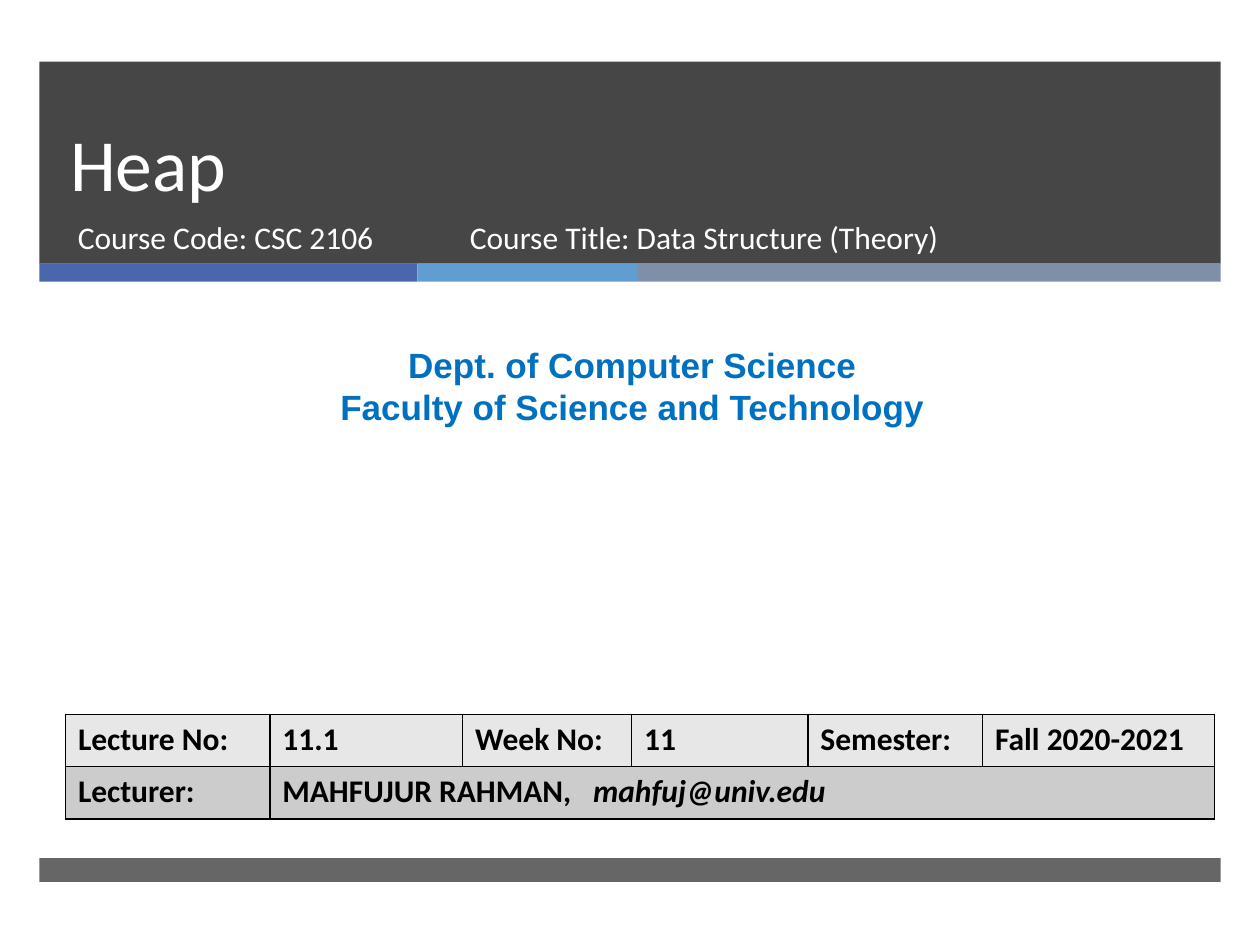
from dataclasses import dataclass

from lxml import etree
from pptx import Presentation
from pptx.dml.color import RGBColor
from pptx.enum.shapes import MSO_SHAPE
from pptx.enum.text import MSO_ANCHOR, PP_ALIGN
from pptx.oxml.ns import qn
from pptx.util import Pt

RECT = MSO_SHAPE.RECTANGLE
TOP, BOTTOM = MSO_ANCHOR.TOP, MSO_ANCHOR.BOTTOM
LEFT, CENTER = PP_ALIGN.LEFT, PP_ALIGN.CENTER


@dataclass(frozen=True)
class Theme:
    dark: str = "262626"
    stripes: tuple = ("4A66AC", "629DD1", "7F8FA9")
    rows: tuple = ("E7E7E7", "CCCCCC")
    white: str = "FFFFFF"
    black: str = "000000"
    blue: str = "0070C0"
    body: str = "Calibri"
    dept: str = "Arial"
    title: int = 42
    mid: int = 20
    small: int = 18


class Deck:
    def __init__(self, theme, slide):
        self.theme = theme
        self.slide = slide

    def style(self, para, size, color, font=None, bold=False):
        for run in para.runs:
            run.font.name = font or self.theme.body
            run.font.size = Pt(size)
            run.font.bold = bold
            run.font.color.rgb = RGBColor.from_string(color)

    def bar(self, x, y, w, h, color, alpha=100):
        shape = self.slide.shapes.add_shape(RECT, Pt(x), Pt(y), Pt(w), Pt(h))
        shape.shadow.inherit = False
        shape.line.fill.background()
        shape.fill.solid()
        shape.fill.fore_color.rgb = RGBColor.from_string(color)
        if alpha < 100:
            tone = shape.fill._xPr.find(qn("a:solidFill"))[0]
            etree.SubElement(tone, qn("a:alpha"), val=str(alpha * 1000))

    def text(self, x, y, w, h, words, size, color, font=None, bold=False,
             align=LEFT, anchor=TOP, space=None):
        box = self.slide.shapes.add_textbox(Pt(x), Pt(y), Pt(w), Pt(h))
        frame = box.text_frame
        frame.word_wrap = True
        frame.vertical_anchor = anchor
        frame.text = words
        for para in frame.paragraphs:
            para.alignment = align
            if space:
                para.line_spacing = Pt(space)
            self.style(para, size, color, font, bold)

    def edge(self, cell):
        props = cell._tc.get_or_add_tcPr()
        for side in ("lnL", "lnR", "lnT", "lnB"):
            line = etree.SubElement(props, qn("a:" + side), w=str(Pt(1)))
            fill = etree.SubElement(line, qn("a:solidFill"))
            etree.SubElement(fill, qn("a:srgbClr"), val=self.theme.black)

    def table(self, x, y, cols, high, rows):
        frame = self.slide.shapes.add_table(
            len(rows), len(cols), Pt(x), Pt(y), Pt(sum(cols)), Pt(high * len(rows)))
        grid = frame.table
        for col, wide in zip(grid.columns, cols):
            col.width = Pt(wide)
        for r, (words, color) in enumerate(zip(rows, self.theme.rows)):
            grid.rows[r].height = Pt(high)
            for c in range(len(cols)):
                cell = grid.cell(r, c)
                self.edge(cell)
                cell.fill.solid()
                cell.fill.fore_color.rgb = RGBColor.from_string(color)
                if c < len(words):
                    para = cell.text_frame.paragraphs[0]
                    para.text = words[c]
                    self.style(para, self.theme.small, self.theme.black, bold=True)
        return grid

    def mail(self, cell, words, stop):
        # A tab stop sets the gap before the address
        para = cell.text_frame.paragraphs[0]
        para.add_run().text = "\t" + words
        self.style(para, self.theme.small, self.theme.black, bold=True)
        para.runs[-1].font.italic = True
        tabs = etree.SubElement(para._p.get_or_add_pPr(), qn("a:tabLst"))
        etree.SubElement(tabs, qn("a:tab"), pos=str(Pt(stop)), algn="l")


def main():
    show = Presentation()
    show.slide_width, show.slide_height = Pt(720), Pt(540)
    theme = Theme()
    deck = Deck(theme, show.slides.add_slide(show.slide_layouts[6]))

    # Header band, stripes and footer
    edge, wide = 22.5, 675
    deck.bar(edge, 35.2, wide, 115.5, theme.dark, 85)
    left = edge
    for part, color in zip((216, 126, 333), theme.stripes):
        deck.bar(left, 150.5, part, 10.5, color)
        left += part
    deck.bar(edge, 490.3, wide, 13.7, theme.dark, 70)

    # Title and course
    deck.text(33, 35.2, 615, 86, "Heap", theme.title, theme.white,
              anchor=BOTTOM, space=46)
    deck.text(37.4, 121, 220, 38, "Course Code: CSC 2106",
              theme.small, theme.white)
    deck.text(261.4, 121, 328, 38, "Course Title: Data Structure (Theory)",
              theme.small, theme.white)

    # Department
    deck.text(5.8, 193, 711, 55.5,
              "Dept. of Computer Science\nFaculty of Science and Technology",
              theme.mid, theme.blue, theme.dept, True, CENTER)

    # Lecture details
    grid = deck.table(37.4, 408.2, (116.8, 110.2, 96.5, 100.8, 99.8, 132.5), 29.9, (
        ("Lecture No:", "11.1", "Week No:", "11", "Semester:", "Fall 2020-2021"),
        ("Lecturer:", "MAHFUJUR RAHMAN,"),
    ))
    grid.cell(1, 1).merge(grid.cell(1, 5))
    deck.mail(grid.cell(1, 1), "mahfuj@univ.edu", 177.5)

    show.save("out.pptx")


if __name__ == "__main__":
    main()
